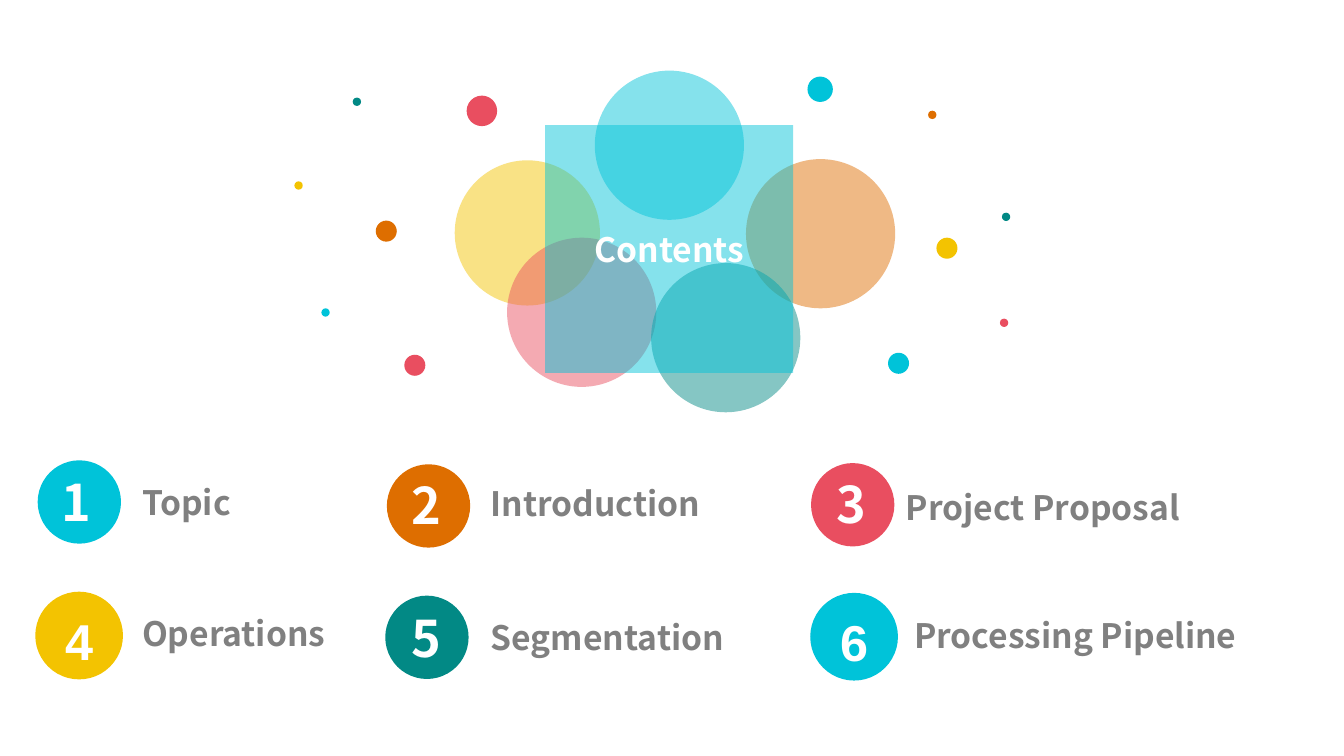
from dataclasses import dataclass
from typing import Any, Optional

import pptx
import pptx.dml.color
import pptx.enum.shapes
import pptx.enum.text
import pptx.oxml
import pptx.oxml.ns
import pptx.util

Cm = pptx.util.Cm
Align = pptx.enum.text.PP_ALIGN
Anchor = pptx.enum.text.MSO_ANCHOR


@dataclass(frozen=True)
class Theme:
    cyan: str = "00C3D9"
    orange: str = "DE6E00"
    red: str = "E94E60"
    yellow: str = "F3C301"
    teal: str = "028985"
    gray: str = "808080"
    white: str = "FFFFFF"
    font: str = "Noto Sans CJK SC"
    plain: str = "Arial"
    label: int = 24
    digit: int = 36
    alpha: int = 48


@dataclass(frozen=True)
class Disc:
    left: float
    top: float
    size: float
    color: str
    alpha: int = 100


@dataclass(frozen=True)
class Spot:
    left: float
    top: float


@dataclass(frozen=True)
class Item:
    label: str
    spot: Spot
    disc: Disc
    digit: Optional[Spot] = None


LOOK = Theme()
TINY, SMALL, BADGE, LARGE = 0.21, 0.53, 2.1, 2.21
PETAL = 3.76

BACK = [
    Disc(11.46, 4.04, 3.66, LOOK.yellow, LOOK.alpha),
    Disc(12.78, 5.99, PETAL, LOOK.red, LOOK.alpha),
    Disc(14.99, 1.78, PETAL, LOOK.cyan, LOOK.alpha),
    Disc(18.8, 4.01, PETAL, LOOK.orange, LOOK.alpha),
    Disc(16.41, 6.63, PETAL, LOOK.teal, LOOK.alpha),
]
CORE = Disc(13.74, 3.15, 6.25, LOOK.cyan, LOOK.alpha)

DOTS = [
    Disc(20.35, 1.93, 0.64, LOOK.cyan),
    Disc(11.76, 2.41, 0.77, LOOK.red),
    Disc(9.47, 5.56, SMALL, LOOK.orange),
    Disc(8.89, 2.46, TINY, LOOK.teal),
    Disc(7.42, 4.57, TINY, LOOK.yellow),
    Disc(10.19, 8.94, SMALL, LOOK.red),
    Disc(8.1, 7.77, TINY, LOOK.cyan),
    Disc(23.6, 5.99, SMALL, LOOK.yellow),
    Disc(23.39, 2.79, TINY, LOOK.orange),
    Disc(25.25, 5.36, TINY, LOOK.teal),
    Disc(22.38, 8.89, SMALL, LOOK.cyan),
    Disc(25.2, 8.03, TINY, LOOK.red),
]

ITEMS = [
    Item("Topic", Spot(3.58, 12.01),
         Disc(0.95, 11.6, BADGE, LOOK.cyan), Spot(0.25, 11.73)),
    Item("Introduction", Spot(12.37, 12.04),
         Disc(9.75, 11.7, BADGE, LOOK.orange), Spot(9.09, 11.81)),
    Item("Project Proposal", Spot(22.83, 12.14),
         Disc(20.44, 11.67, BADGE, LOOK.red), Spot(19.79, 11.79)),
    Item("Operations", Spot(3.58, 15.32),
         Disc(0.89, 14.91, LARGE, LOOK.yellow)),
    Item("Segmentation", Spot(12.37, 15.42),
         Disc(9.71, 15.01, BADGE, LOOK.teal), Spot(9.09, 15.16)),
    Item("Processing Pipeline", Spot(23.04, 15.37),
         Disc(20.42, 14.94, LARGE, LOOK.cyan)),
]


def write(shape: Any, text: str, *, size: int, color: str = LOOK.white,
          font: str = LOOK.font, align: Any = Align.CENTER,
          anchor: Any = Anchor.TOP, inset: float = 0.25) -> None:
    frame = shape.text_frame
    frame.text = text
    frame.word_wrap = True
    frame.auto_size = pptx.enum.text.MSO_AUTO_SIZE.NONE
    frame.vertical_anchor = anchor
    frame.margin_left = Cm(inset)
    frame.margin_right = Cm(0.25)
    frame.margin_top = frame.margin_bottom = Cm(0.13)
    line = frame.paragraphs[0]
    line.alignment = align
    face = line.runs[0].font
    face.name, face.size, face.bold = font, pptx.util.Pt(size), True
    face.color.rgb = pptx.dml.color.RGBColor.from_string(color)


def paint(shape: Any, disc: Disc) -> None:
    shape.fill.solid()
    shape.fill.fore_color.rgb = pptx.dml.color.RGBColor.from_string(disc.color)
    shape.line.fill.background()
    if disc.alpha < 100:
        tint = shape.element.find(".//" + pptx.oxml.ns.qn("a:srgbClr"))
        alpha = tint.makeelement(pptx.oxml.ns.qn("a:alpha"),
                                 {"val": str(disc.alpha * 1000)})
        tint.append(alpha)


def draw(shapes: Any, disc: Disc) -> Any:
    kind = pptx.enum.shapes.MSO_SHAPE.OVAL
    shape = shapes.add_shape(kind, Cm(disc.left), Cm(disc.top),
                             Cm(disc.size), Cm(disc.size))
    shape.shadow.inherit = False
    paint(shape, disc)
    return shape


def head(slide: Any, text: str) -> None:
    title = slide.shapes.title
    title.left, title.top = Cm(CORE.left), Cm(CORE.top)
    title.width = title.height = Cm(CORE.size)
    space = pptx.oxml.ns.nsdecls("a")
    title.element.spPr.append(pptx.oxml.parse_xml(
        f'<a:prstGeom {space} prst="ellipse"><a:avLst/></a:prstGeom>'))
    paint(title, CORE)
    write(title, text, size=LOOK.label, anchor=Anchor.MIDDLE)
    title.element.getparent().append(title.element)


def badge(slide: Any, item: Item, mark: str) -> None:
    if item.digit is None:
        shape = draw(slide.shapes, item.disc)
        write(shape, mark, size=LOOK.digit, font=LOOK.plain)
    else:
        group = slide.shapes.add_group_shape()
        draw(group.shapes, item.disc)
        box = group.shapes.add_textbox(Cm(item.digit.left), Cm(item.digit.top),
                                       Cm(3.33), Cm(1.8))
        write(box, mark, size=LOOK.digit)
    label = slide.shapes.add_textbox(Cm(item.spot.left), Cm(item.spot.top),
                                     Cm(8.76), Cm(1.27))
    write(label, item.label, size=LOOK.label, color=LOOK.gray,
          align=Align.LEFT, inset=0)


def main() -> None:
    deck = pptx.Presentation()
    deck.slide_width, deck.slide_height = Cm(33.87), Cm(19.05)
    slide = deck.slides.add_slide(deck.slide_layouts[5])
    for disc in BACK + DOTS:
        draw(slide.shapes, disc)
    head(slide, "Contents")
    for mark, item in enumerate(ITEMS, 1):
        badge(slide, item, str(mark))
    deck.save("out.pptx")


if __name__ == "__main__":
    main()
